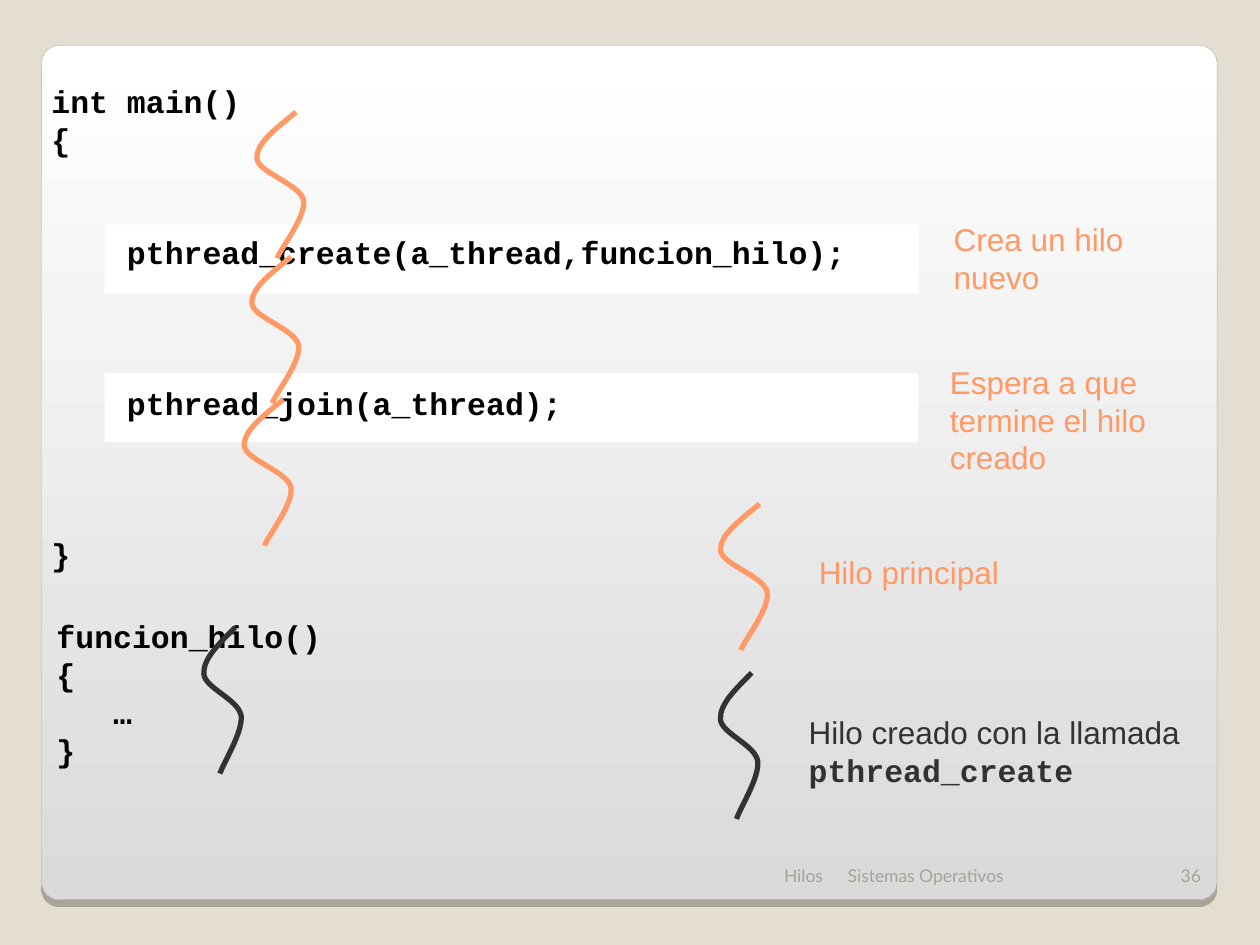
from lxml import etree
from pptx import Presentation
from pptx.dml.color import RGBColor
from pptx.enum.shapes import MSO_SHAPE
from pptx.enum.text import MSO_ANCHOR, PP_ALIGN
from pptx.oxml.ns import qn
from pptx.util import Inches, Pt

RECTANGLE, ROUNDED = MSO_SHAPE.RECTANGLE, MSO_SHAPE.ROUNDED_RECTANGLE
TOP, BOTTOM = MSO_ANCHOR.TOP, MSO_ANCHOR.BOTTOM
LEFT, RIGHT = PP_ALIGN.LEFT, PP_ALIGN.RIGHT

COLORS = {
    "background": "E3DED1", "card_top": "FFFFFF", "card_bottom": "DADADA",
    "card_line": "A4A3A3", "shadow": "000000", "footer": "A7A399",
    "white": "FFFFFF", "code": "000000", "main": "FF9966", "created": "323232",
}
BODY_FONT, CODE_FONT, FOOTER_FONT = "Arial", "Courier New", "Lato"
LINE_PITCH = 21.6

CARD = (0.33, 0.36, 9.33, 6.78)
HIGHLIGHTS = [(0.83, 2.96, 6.46, 0.55), (0.83, 1.78, 6.46, 0.55)]
FOOTERS = [
    ("Hilos", 4.13, 2.5, RIGHT),
    ("Sistemas Operativos", 6.63, 2.5, LEFT),
    ("36", 9.13, 0.5, RIGHT),
]
CODE_BLOCKS = [
    ((0.31, 0.6, 6.5, 4), [
        (0, "int main()"),
        (0, "{"),
        (2, "    pthread_create(a_thread,funcion_hilo);"),
        (3, "    pthread_join(a_thread);"),
        (3, "}"),
    ]),
    ((0.35, 4.85, 2.44, 1.3), [
        (0, "funcion_hilo()"), (0, "{"), (0, "   …"), (0, "}"),
    ]),
]
LABELS = [
    ((7.47, 1.7, 1.94, 0.7), "main", True, "Crea un hilo nuevo", ""),
    ((7.44, 2.83, 2.23, 1), "main", True, "Espera a que termine el hilo creado", ""),
    ((6.4, 4.34, 1.63, 0.4), "main", False, "Hilo principal", ""),
    ((6.32, 5.61, 3.33, 0.7), "created", True, "Hilo creado con la llamada ", "pthread_create"),
]
THREADS = [
    (2.03, 0.89, "main"), (1.61, 4.98, "created"), (1.99, 2.04, "main"),
    (1.93, 3.17, "main"), (5.71, 5.34, "created"), (5.71, 4, "main"),
]
THREAD_WIDTH = {"main": 1, "created": 0.8}
WAVE = [
    (0.32, 0),
    (0.16, 0.13), (0, 0.25), (0.01, 0.37),
    (0.02, 0.48), (0.35, 0.57), (0.38, 0.7),
    (0.4, 0.83), (0.2, 1.08), (0.17, 1.16),
]


def rgb(name):
    return RGBColor.from_string(COLORS[name])


def inches(box):
    return [Inches(value) for value in box]


def add_box(slide, kind, box):
    shape = slide.shapes.add_shape(kind, *inches(box))
    shape.shadow.inherit = False
    return shape


def add_card(slide):
    card = add_box(slide, ROUNDED, CARD)
    card.adjustments[0] = 0.021
    card.fill.gradient()
    card.fill.gradient_angle = 270
    for stop, name in zip(card.fill.gradient_stops, ("card_top", "card_bottom")):
        stop.color.rgb = rgb(name)
    card.line.color.rgb = rgb("card_line")
    card.line.width = Pt(0.17)
    effects = card.element.spPr.find(qn("a:effectLst"))
    shadow = etree.SubElement(effects, qn("a:outerShdw"), blurRad="0",
                              dist=str(Pt(4)), dir="5400000", rotWithShape="0")
    color = etree.SubElement(shadow, qn("a:srgbClr"), val=COLORS["shadow"])
    etree.SubElement(color, qn("a:alpha"), val="25000")


def add_text_frame(slide, box, anchor=TOP, wrap=True):
    frame = slide.shapes.add_textbox(*inches(box)).text_frame
    frame.word_wrap = wrap
    frame.vertical_anchor = anchor
    return frame


def style(font, name, size, color, bold=False):
    font.name, font.size, font.bold = name, Pt(size), bold
    font.color.rgb = rgb(color)


def add_code(slide, box, lines):
    frame = add_text_frame(slide, box)
    for index, (gap, text) in enumerate(lines):
        paragraph = frame.add_paragraph() if index else frame.paragraphs[0]
        paragraph.text = text
        paragraph.line_spacing = Pt(LINE_PITCH)
        paragraph.space_before = Pt(gap * LINE_PITCH)
        style(paragraph.font, CODE_FONT, 18, "code", True)


def add_label(slide, box, color, wrap, text, code):
    paragraph = add_text_frame(slide, box, wrap=wrap).paragraphs[0]
    paragraph.line_spacing = Pt(LINE_PITCH)
    style(paragraph.font, BODY_FONT, 18, color)
    paragraph.add_run().text = text
    if code:
        run = paragraph.add_run()
        run.text = code
        run.font.name, run.font.bold = CODE_FONT, True


def curve_segments(shape):
    segments = list(shape.element.iter(qn("a:lnTo")))
    outline = segments[0].getparent()
    for index in range(0, len(segments), 3):
        curve = etree.SubElement(outline, qn("a:cubicBezTo"))
        for segment in segments[index:index + 3]:
            curve.append(segment[0])
            outline.remove(segment)


def add_thread(slide, left, top, color):
    points = [(Inches(left + x * THREAD_WIDTH[color]), Inches(top + y))
              for x, y in WAVE]
    builder = slide.shapes.build_freeform(*points[0])
    builder.add_line_segments(points[1:], close=False)
    thread = builder.convert_to_shape()
    curve_segments(thread)
    thread.shadow.inherit = False
    thread.fill.background()
    thread.line.color.rgb = rgb(color)
    thread.line.width = Pt(3)


def main():
    presentation = Presentation()
    presentation.slide_width, presentation.slide_height = Inches(10), Inches(7.5)
    slide = presentation.slides.add_slide(presentation.slide_layouts[6])
    slide.background.fill.solid()
    slide.background.fill.fore_color.rgb = rgb("background")

    add_card(slide)
    for text, left, width, alignment in FOOTERS:
        frame = add_text_frame(slide, (left, 6.68, width, 0.4), BOTTOM)
        paragraph = frame.paragraphs[0]
        paragraph.text = text
        paragraph.alignment = alignment
        style(paragraph.font, FOOTER_FONT, 10, "footer")
    for box in HIGHLIGHTS:
        highlight = add_box(slide, RECTANGLE, box)
        highlight.fill.solid()
        highlight.fill.fore_color.rgb = rgb("white")
        highlight.line.fill.background()
    for box, lines in CODE_BLOCKS:
        add_code(slide, box, lines)
    for thread in THREADS:
        add_thread(slide, *thread)
    for label in LABELS:
        add_label(slide, *label)
    presentation.save("out.pptx")


if __name__ == "__main__":
    main()
